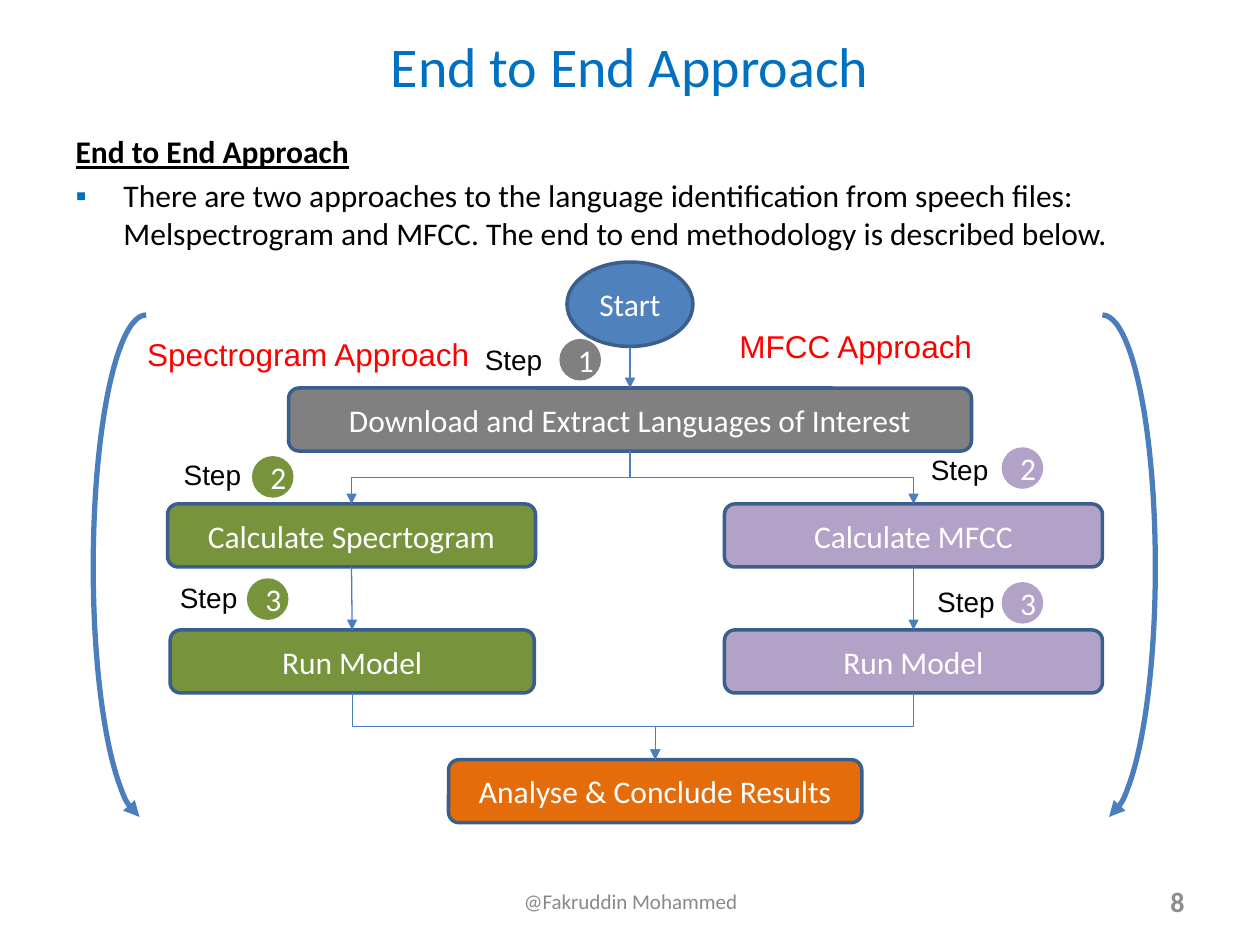
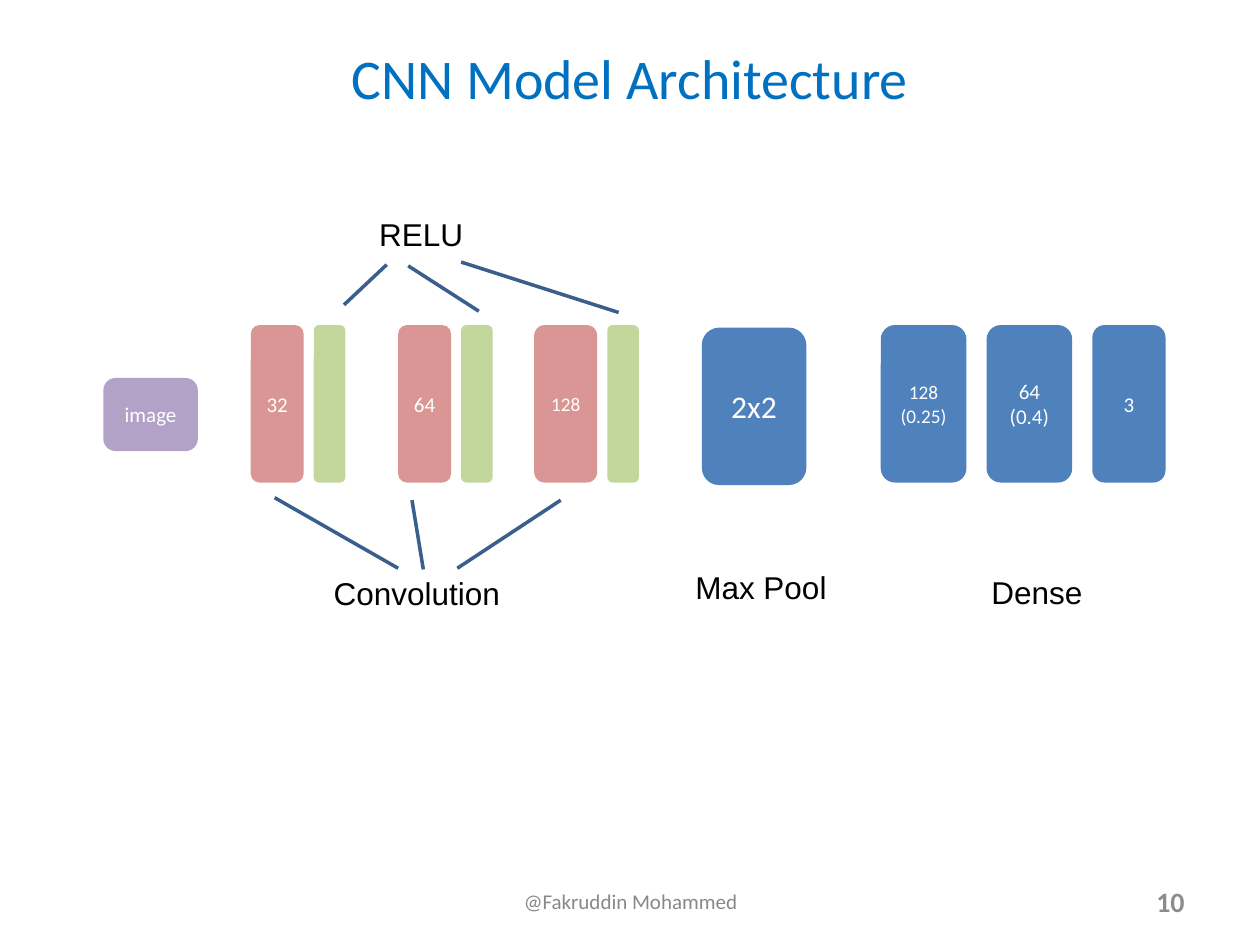
from pptx import Presentation
from pptx.dml.color import RGBColor
from pptx.enum.shapes import MSO_CONNECTOR, MSO_SHAPE
from pptx.enum.text import MSO_ANCHOR, PP_ALIGN
from pptx.oxml.ns import qn
from pptx.util import Emu, Pt
from lxml.etree import SubElement

PX = 9144  # EMU in one px, 100 px to the inch
HEX = {
    "title": "0070C0", "black": "000000", "white": "FFFFFF", "red": "FF0000",
    "foot": "898989", "number": "8C8C8C", "edge": "3A5F8C", "arrow": "4B7EBC",
    "blue": "4F81BD", "gray": "808080", "green": "77933C", "purple": "B3A2C7",
    "orange": "E46C0A", "pink": "D99694", "lime": "C3D69B",
}
FOOTER = "@Fakruddin Mohammed"

# Flow slide
HEADING = "End to End Approach"
INTRO = ("There are two approaches to the language identification from speech "
         "files: Melspectrogram and MFCC. The end to end methodology is "
         "described below.")
STAGES = {  # name: (text, colour, left, top, width)
    "load": ("Download and Extract Languages of Interest", "gray", 229, 308, 542),
    "spec": ("Calculate Specrtogram", "green", 133, 400, 292),
    "mfcc": ("Calculate MFCC", "purple", 575, 400, 300),
    "run_spec": ("Run Model", "green", 135, 500, 289),
    "run_mfcc": ("Run Model", "purple", 575, 500, 300),
    "end": ("Analyse & Conclude Results", "orange", 356, 603, 328),
}
STAGE_H = 50
START = (450, 208, 100, 67)
FLOWS = [("load", "spec"), ("load", "mfcc"), ("spec", "run_spec"),
         ("mfcc", "run_mfcc"), ("run_spec", "end"), ("run_mfcc", "end")]
STEPS = [  # number, colour, label corner, badge corner
    ("1", "gray", (375, 267), (444, 269)),
    ("2", "green", (136, 358), (200, 362)),
    ("3", "green", (133, 456), (196, 459)),
    ("2", "purple", (729, 354), (795, 355)),
    ("3", "purple", (734, 459), (795, 462)),
]
ROUTES = [("Spectrogram Approach", (107, 261, 278, 40)),
          ("MFCC Approach", (577, 255, 207, 40))]
ARCS = [(74, True), (833, False)]

# Model slide
ROW, TALL, GAP = 258, 125, 8
CONVS = [("32", 199, 42, 12), ("64", 316, 42, 12), ("128", 424, 50, 11)]
RELU_W = 25
DENSE = [("128\n(0.25)", 68, 11), ("64\n(0.4)", 68, 12), ("3", 58, 12)]
DENSE_X, DENSE_STEP = 699, 84
NAMES = [("Convolution", (255, 451, 153, 40)), ("RELU", (291, 166, 88, 40)),
         ("Max Pool", (542, 446, 125, 40)), ("Dense", (777, 450, 93, 40))]
LINKS = [((316, 451), (218, 395)), ((336, 452), (327, 397)),
         ((363, 451), (445, 397)), ((307, 210), (273, 242)),
         ((324, 211), (380, 247)), ((491, 248), (366, 208))]


def rgb(name):
    return RGBColor.from_string(HEX[name])


def emu(vals):
    return [Emu(round(v * PX)) for v in vals]


def place(shape, box):
    shape.left, shape.top, shape.width, shape.height = emu(box)


def style(frame, size, color, font="Calibri", align=None, bold=None):
    for para in frame.paragraphs:
        if align is not None:
            para.alignment = align
        for run in para.runs:
            run.font.size, run.font.name, run.font.bold = Pt(size), font, bold
            run.font.color.rgb = rgb(color)


def add_text(slide, text, box, size, color, wrap=False, **kw):
    frame = slide.shapes.add_textbox(*emu(box)).text_frame
    frame.text, frame.word_wrap = text, wrap
    style(frame, size, color, **kw)
    return frame


def add_node(slide, kind, box, fill, text="", size=18, edge=False):
    node = slide.shapes.add_shape(kind, *emu(box))
    node.shadow.inherit = False
    node.fill.solid()
    node.fill.fore_color.rgb = rgb(fill)
    if edge:
        node.line.color.rgb, node.line.width = rgb("edge"), Pt(2)
    else:
        node.line.fill.background()
    if text:
        frame = node.text_frame
        frame.text, frame.vertical_anchor = text, MSO_ANCHOR.MIDDLE
        style(frame, size, "white", align=PP_ALIGN.CENTER)


def add_tip(shape):
    line = shape._element.spPr.find(qn("a:ln"))
    SubElement(line, qn("a:tailEnd"), type="triangle")


def add_line(slide, start, end, color, width, kind=MSO_CONNECTOR.STRAIGHT):
    link = slide.shapes.add_connector(kind, *emu(start + end))
    link.line.color.rgb, link.line.width = rgb(color), Pt(width)
    SubElement(link._element.spPr, qn("a:effectLst"))
    return link


def add_flow(slide, start, end):
    """Arrow going down; turned on its side as an elbow when the ends differ in x."""
    (x1, y1), (x2, y2) = start, end
    if abs(x2 - x1) < 5:
        link = add_line(slide, start, end, "arrow", 0.75)
    else:
        mx, my = (x1 + x2) / 2, (y1 + y2) / 2
        dx, dy = abs(x2 - x1) / 2, (y2 - y1) / 2
        side = -1 if x2 < x1 else 1
        link = add_line(slide, (mx + side * dy, my - dx), (mx - side * dy, my + dx),
                        "arrow", 0.75, MSO_CONNECTOR.ELBOW)
        turn = 90 if side < 0 else 270
        link._element.spPr.find(qn("a:xfrm")).set("rot", str(turn * 60000))
    add_tip(link)


def add_arc(slide, left, flip):
    arc = slide.shapes.add_shape(MSO_SHAPE.ARC, *emu((left, 250, 84, 400)))
    arc.shadow.inherit = False
    arc.adjustments[0], arc.adjustments[1] = 162, 53.092
    arc.fill.background()
    arc.line.color.rgb, arc.line.width = rgb("arrow"), Pt(3)
    add_tip(arc)
    if flip:
        arc._element.spPr.find(qn("a:xfrm")).set("flipH", "1")


def new_slide(deck, layout, title, top, number):
    slide = deck.slides.add_slide(deck.slide_layouts[layout])
    head = slide.shapes.title
    place(head, (50, top, 900, 78))
    head.text_frame.text = title
    head.text_frame.vertical_anchor = MSO_ANCHOR.MIDDLE
    style(head.text_frame, 32, "title", align=PP_ALIGN.CENTER)
    foot = add_text(slide, FOOTER, (342, 695, 317, 40), 12, "foot", wrap=True,
                    align=PP_ALIGN.CENTER)
    page = add_text(slide, number, (717, 695, 233, 40), 16, "number", wrap=True,
                    align=PP_ALIGN.RIGHT, bold=True)
    foot.vertical_anchor = page.vertical_anchor = MSO_ANCHOR.MIDDLE
    return slide


def fill_body(body):
    place(body, (50, 100, 900, 583))
    frame = body.text_frame
    frame.text = HEADING + "\n" + INTRO
    style(frame, 18, "black")
    head, intro = frame.paragraphs
    font = head.runs[0].font
    font.bold = font.underline = True
    props = head._p.get_or_add_pPr()
    props.set("marL", "0")
    props.set("indent", "0")
    SubElement(props, qn("a:buNone"))
    props = intro._p.get_or_add_pPr()
    props.set("marL", str(38 * PX))
    props.set("indent", str(-38 * PX))
    tint = SubElement(props, qn("a:buClr"))
    SubElement(tint, qn("a:srgbClr"), val=HEX["title"])
    SubElement(props, qn("a:buFont"), typeface="Arial")
    SubElement(props, qn("a:buChar"), char="▪")


def port(name, low):
    """Middle of a stage's lower or upper edge."""
    _, _, left, top, width = STAGES[name]
    return left + width / 2, top + (STAGE_H if low else 0)


def flow_slide(deck):
    slide = new_slide(deck, 1, "End to End Approach", 13, "8")
    fill_body(slide.placeholders[1])
    add_node(slide, MSO_SHAPE.OVAL, START, "blue", "Start", edge=True)
    for text, color, left, top, width in STAGES.values():
        add_node(slide, MSO_SHAPE.ROUNDED_RECTANGLE, (left, top, width, STAGE_H),
                 color, text, edge=True)
    left, top, width, height = START
    add_flow(slide, (left + width / 2, top + height), port("load", False))
    for src, dst in FLOWS:
        add_flow(slide, port(src, True), port(dst, False))
    for number, color, label, badge in STEPS:
        add_node(slide, MSO_SHAPE.OVAL, badge + (33, 33), color, number)
        add_text(slide, "Step", label + (66, 37), 16, "black", font="Arial")
    for left, flip in ARCS:
        add_arc(slide, left, flip)
    for text, box in ROUTES:
        add_text(slide, text, box, 18, "red", font="Arial")


def model_slide(deck):
    slide = new_slide(deck, 5, "CNN Model Architecture", 22, "10")
    block = MSO_SHAPE.ROUNDED_RECTANGLE
    for text, left, width, size in CONVS:
        add_node(slide, block, (left, ROW, width, TALL), "pink", text, size)
        add_node(slide, block, (left + width + GAP, ROW, RELU_W, TALL), "lime")
    add_node(slide, block, (557, 260, 83, TALL), "blue", "2x2")
    for i, (text, width, size) in enumerate(DENSE):
        add_node(slide, block, (DENSE_X + i * DENSE_STEP, ROW, width, TALL),
                 "blue", text, size)
    add_node(slide, block, (82, 300, 75, 58), "purple", "image", 12)
    for text, box in NAMES:
        add_text(slide, text, box, 18, "black", font="Arial")
    for start, end in LINKS:
        add_line(slide, start, end, "edge", 2)


def main():
    deck = Presentation()
    deck.slide_width, deck.slide_height = emu((1000, 750))
    flow_slide(deck)
    model_slide(deck)
    deck.save("out.pptx")


if __name__ == "__main__":
    main()
